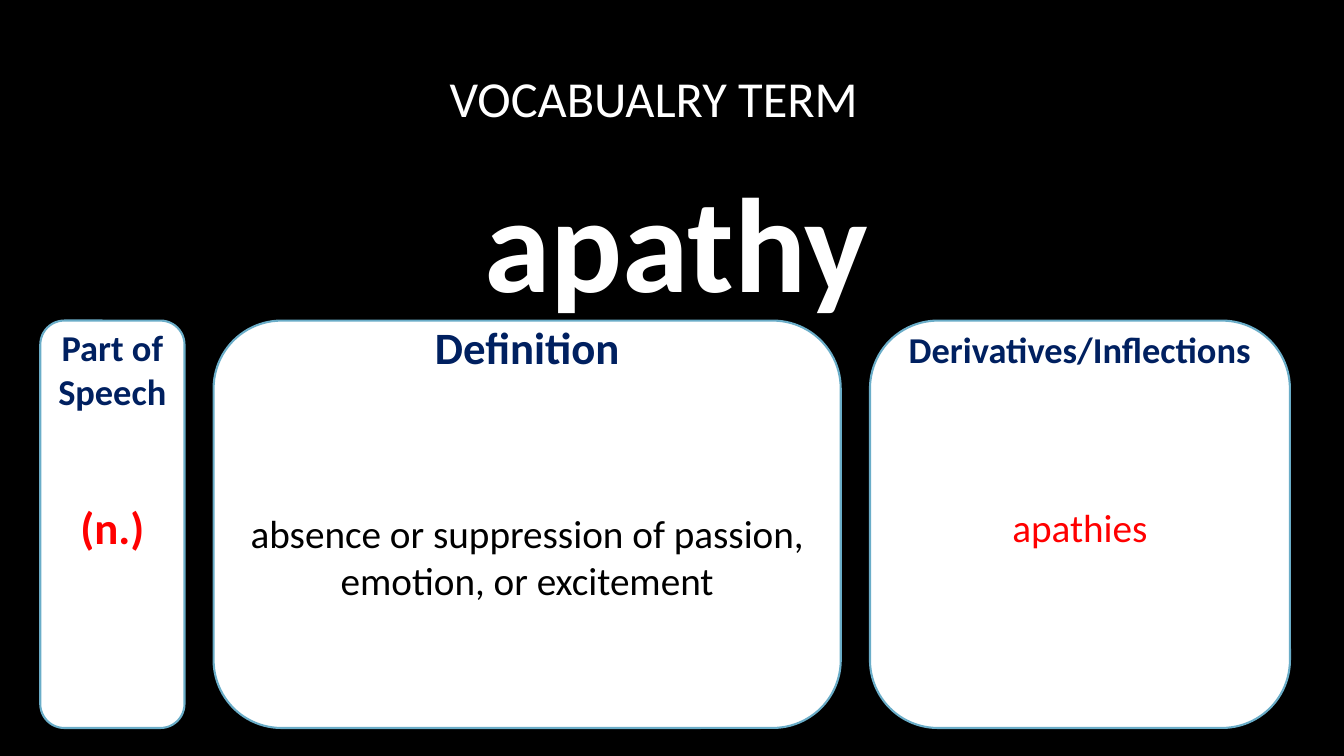
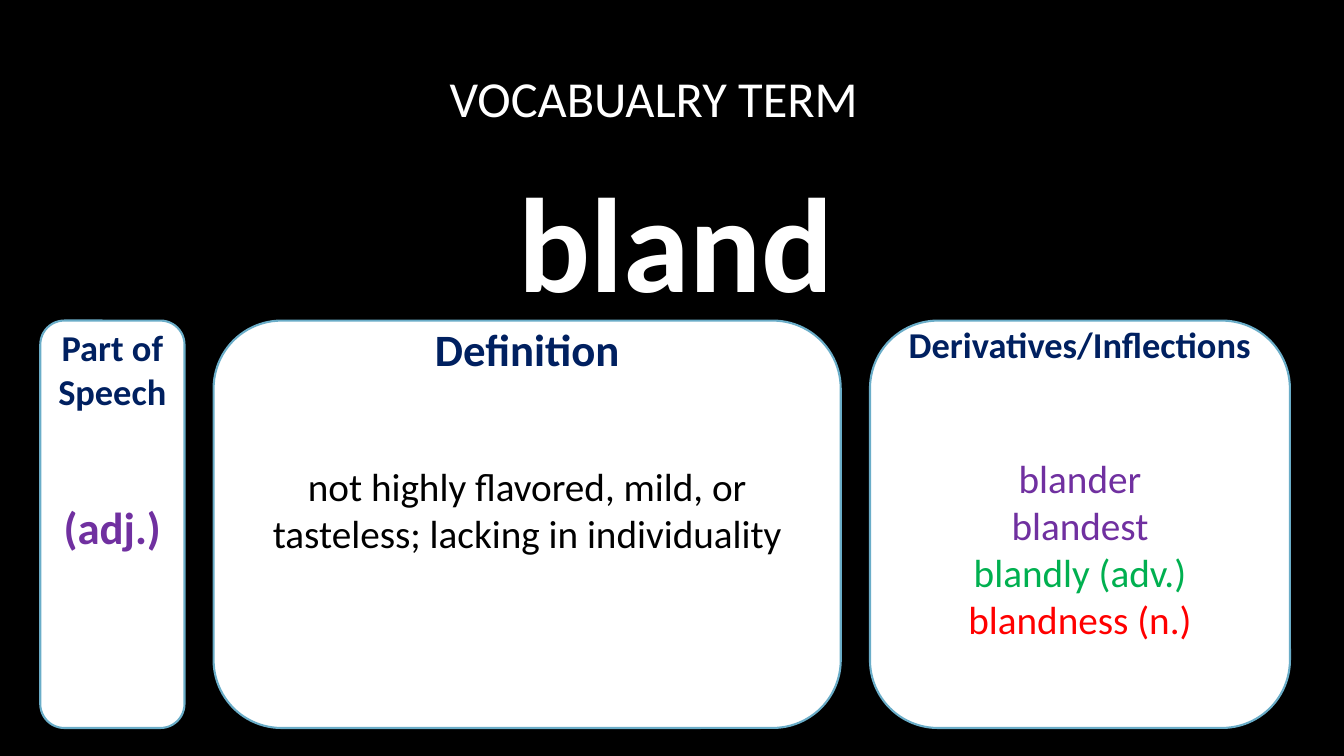
import pptx
import pptx.util
import pptx.dml.color
import pptx.enum.shapes
import pptx.enum.text
from dataclasses import dataclass

Pt = pptx.util.Pt
MIDDLE = pptx.enum.text.MSO_ANCHOR.MIDDLE
TOP = pptx.enum.text.MSO_ANCHOR.TOP


@dataclass(frozen=True)
class Theme:
    font: str = "Calibri"
    background: str = "000000"
    light: str = "FFFFFF"
    outline: str = "6AADC8"
    heading: str = "002060"
    text: str = "000000"
    noun: str = "FF0000"
    adjective: str = "7030A0"
    adverb: str = "00B050"
    title_size: int = 36
    word_size: int = 96
    heading_size: int = 26
    large_size: int = 32
    body_size: int = 28


@dataclass(frozen=True)
class Card:
    lines: tuple
    heading_drop: float
    body_shift: float = 2


THEME = Theme()
CARD_TOP, CARD_HEIGHT = 229, 291
CARD_FRAMES = (
    ("Part of Speech", 28.8, 103, THEME.heading_size, THEME.large_size, True),
    ("Definition", 152.6, 448, THEME.large_size, THEME.body_size, False),
    ("Derivatives/Inflections", 621.4, 300, THEME.heading_size, THEME.body_size, False),
)
TERMS = (
    ("apathy", (
        Card((("(n.)", THEME.noun),), 3.5),
        Card((("absence or suppression of passion, emotion, or excitement", THEME.text),), -0.5, 23),
        Card((("apathies", THEME.noun),), 4.5),
    )),
    ("bland", (
        Card((("(adj.)", THEME.adjective),), 3.5),
        Card((("not highly flavored, mild, or tasteless; lacking in individuality", THEME.text),), 1, -11),
        Card((
            ("blander", THEME.adjective),
            ("blandest", THEME.adjective),
            ("blandly (adv.)", THEME.adverb),
            ("blandness (n.)", THEME.noun),
        ), 1, 17),
    )),
)


def color(value):
    return pptx.dml.color.RGBColor.from_string(value)


def write(shape, lines, size, bold=False, anchor=MIDDLE, inset=0):
    frame = shape.text_frame
    frame.word_wrap = True
    frame.auto_size = pptx.enum.text.MSO_AUTO_SIZE.NONE
    frame.vertical_anchor = anchor
    frame.margin_left = frame.margin_right = Pt(inset)
    frame.margin_top = frame.margin_bottom = Pt(0)
    for index, (text, text_color) in enumerate(lines):
        paragraph = frame.add_paragraph() if index else frame.paragraphs[0]
        paragraph.alignment = pptx.enum.text.PP_ALIGN.CENTER
        run = paragraph.add_run()
        run.text = text
        run.font.name = THEME.font
        run.font.size = Pt(size)
        run.font.bold = bold
        run.font.color.rgb = color(text_color)


def add_text(slide, box, lines, size, bold=False, anchor=MIDDLE):
    shape = slide.shapes.add_textbox(*map(Pt, box))
    write(shape, lines, size, bold, anchor)


def add_header(slide, word, box):
    left, top, width, height = box
    title_height = 69
    title = slide.shapes.title
    title.left, title.top = Pt(left - 16), Pt(top + 2)
    title.width, title.height = Pt(width), Pt(title_height)
    write(title, [("VOCABUALRY TERM", THEME.light)], THEME.title_size)
    word_box = (left, top + title_height + 5, width, height - title_height)
    add_text(slide, word_box, [(word, THEME.light)], THEME.word_size, True)


def add_card(slide, card, frame):
    heading, left, width, heading_size, body_size, bold = frame
    shape = slide.shapes.add_shape(
        pptx.enum.shapes.MSO_SHAPE.ROUNDED_RECTANGLE,
        Pt(left), Pt(CARD_TOP), Pt(width), Pt(CARD_HEIGHT))
    shape.shadow.inherit = False
    shape.fill.solid()
    shape.fill.fore_color.rgb = color(THEME.light)
    shape.line.color.rgb = color(THEME.outline)
    shape.line.width = Pt(1.5)
    write(shape, card.lines, body_size, bold, inset=7.2)
    shape.text_frame.margin_top = Pt(max(0, 2 * card.body_shift))
    shape.text_frame.margin_bottom = Pt(max(0, -2 * card.body_shift))
    heading_box = (left + 10, CARD_TOP + card.heading_drop, width - 20, 64)
    add_text(slide, heading_box, [(heading, THEME.heading)], heading_size, True, TOP)


def add_term_slide(presentation, word, cards):
    slide = presentation.slides.add_slide(presentation.slide_layouts[5])
    slide.background.fill.solid()
    slide.background.fill.fore_color.rgb = color(THEME.background)
    add_header(slide, word, (84, 33, 798, 196))
    for card, frame in zip(cards, CARD_FRAMES):
        add_card(slide, card, frame)


def main():
    presentation = pptx.Presentation()
    presentation.slide_width = Pt(960)
    presentation.slide_height = Pt(540)
    for word, cards in TERMS:
        add_term_slide(presentation, word, cards)
    presentation.save("out.pptx")


if __name__ == "__main__":
    main()
